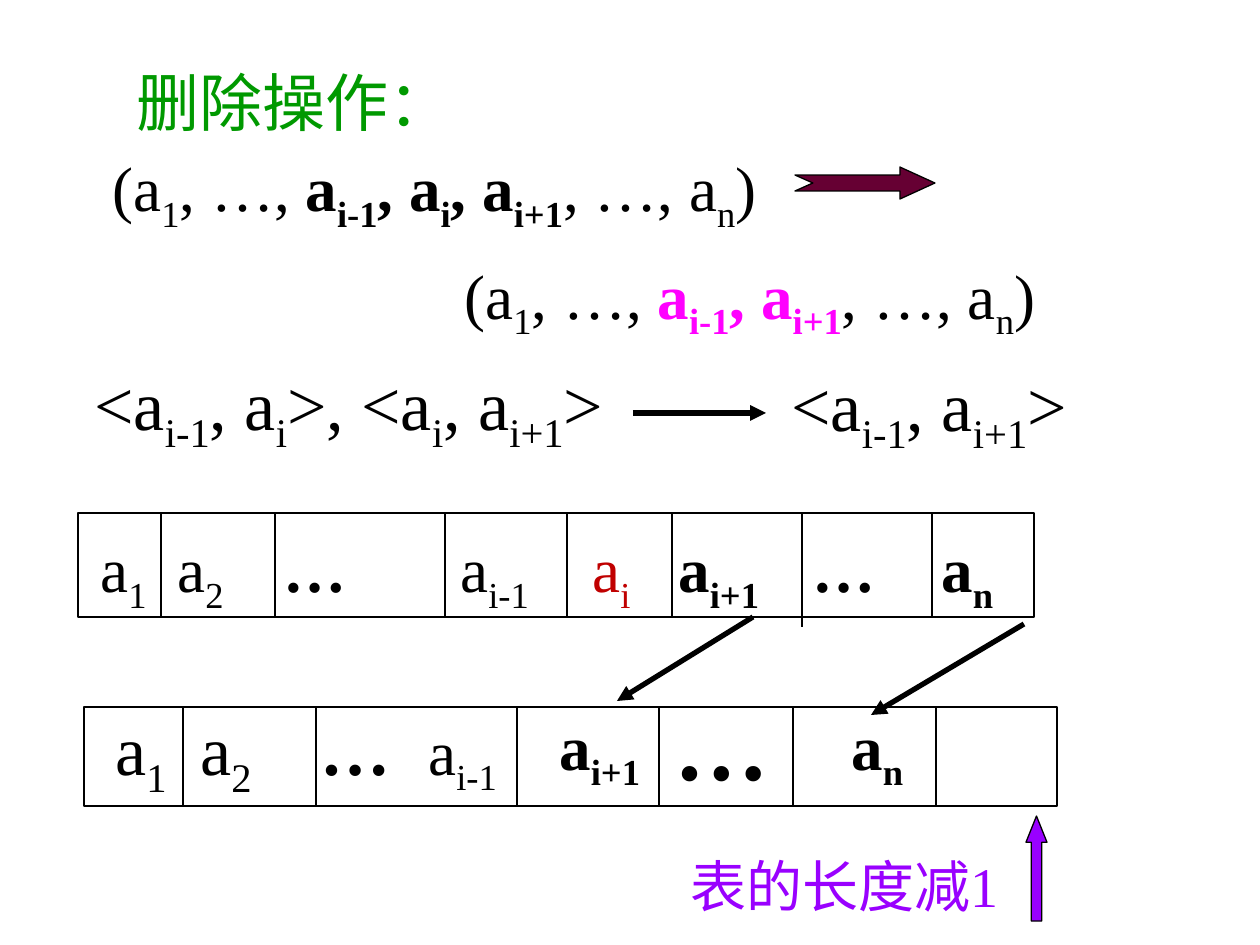
from dataclasses import dataclass
from typing import Optional

from lxml.etree import SubElement
from pptx import Presentation
from pptx.dml.color import RGBColor
from pptx.enum.shapes import MSO_CONNECTOR, MSO_SHAPE
from pptx.enum.text import MSO_ANCHOR, MSO_AUTO_SIZE, PP_ALIGN
from pptx.oxml.ns import qn
from pptx.util import Emu, Pt

PX = 914400 / 126
BLACK, GREEN, MAGENTA = "000000", "009900", "FF00FF"
RED, PURPLE, MAROON = "C00000", "9900FF", "660033"
SERIF = "Times New Roman"


@dataclass
class Span:
    """Text in one style; [brackets] hold subscripts."""
    text: str
    size: int = 36
    bold: bool = False
    color: str = BLACK


@dataclass
class Line:
    spans: list[Span]
    indent: int = 0
    tabs: tuple[int, ...] = ()
    spacing: Optional[float] = None


@dataclass
class Label:
    left: int
    top: int
    width: int
    height: int
    lines: list[Line]
    anchor: MSO_ANCHOR = MSO_ANCHOR.TOP


@dataclass
class Row:
    left: int
    top: int
    width: int
    height: int
    dividers: dict[int, int]  # x position: extra length below the row


def px(value: int) -> Emu:
    return Emu(round(value * PX))


def rgb(value: str) -> RGBColor:
    return RGBColor.from_string(value)


def format_text(span, size: int, bold: bool, color: str, name: str = SERIF) -> None:
    for key, value in {"size": Pt(size), "bold": bold, "name": name}.items():
        setattr(span.font, key, value)
    span.font.color.rgb = rgb(color)


def add_span(para, part: Span) -> None:
    for index, piece in enumerate(part.text.replace("]", "[").split("[")):
        if piece:
            span = para.add_run()
            span.text = piece
            format_text(span, part.size, part.bold, part.color)
            if index % 2:
                span.font._element.set("baseline", "-25000")


def add_label(page, label: Label) -> None:
    box = page.shapes.add_textbox(px(label.left), px(label.top), px(label.width), px(label.height))
    frame = box.text_frame
    frame.word_wrap = True
    frame.vertical_anchor = label.anchor
    for index, line in enumerate(label.lines):
        para = frame.add_paragraph() if index else frame.paragraphs[0]
        properties = para._p.get_or_add_pPr()
        properties.set("marL", str(px(line.indent)))
        if line.tabs:
            stops = SubElement(properties, qn("a:tabLst"))
            for stop in line.tabs:
                SubElement(stops, qn("a:tab"), pos=str(px(stop)), algn="l")
        if line.spacing:
            para.line_spacing = line.spacing
        for part in line.spans:
            add_span(para, part)


def style_shape(shape, fill: Optional[str]) -> None:
    shape.shadow.inherit = False
    if fill:
        shape.fill.solid()
        shape.fill.fore_color.rgb = rgb(fill)
    else:
        shape.fill.background()
    shape.line.color.rgb = rgb(BLACK)
    shape.line.width = Pt(0.75)


def add_line(page, start: tuple[int, int], end: tuple[int, int], arrow: bool = False) -> None:
    line = page.shapes.add_connector(MSO_CONNECTOR.STRAIGHT, *map(px, start + end))
    line.line.color.rgb = rgb(BLACK)
    line.line.width = Pt(3 if arrow else 0.75)
    if arrow:
        SubElement(line.line._get_or_add_ln(), qn("a:tailEnd"), type="triangle")
    SubElement(line._element.spPr, qn("a:effectLst"))


def add_row(page, row: Row) -> None:
    frame = page.shapes.add_shape(
        MSO_SHAPE.RECTANGLE, px(row.left), px(row.top), px(row.width), px(row.height))
    style_shape(frame, None)
    for x, extra in row.dividers.items():
        add_line(page, (x, row.top), (x, row.top + row.height + extra))


def add_title(page) -> None:
    title = page.shapes.title
    places = {"left": 73, "top": 42, "width": 441, "height": 103}
    for key, value in places.items():
        setattr(title, key, px(value))
    frame = title.text_frame
    frame.auto_size = MSO_AUTO_SIZE.NONE
    frame.vertical_anchor = MSO_ANCHOR.BOTTOM
    para = frame.paragraphs[0]
    para.alignment = PP_ALIGN.CENTER
    span = para.add_run()
    span.text = "删除操作："
    format_text(span, 36, False, GREEN, "Arial")


LABELS = [
    # List before and after the deletion
    Label(100, 121, 958, 228, [
        Line([Span("(a[1], …, "), Span("a[i-1], a[i], a[i+1]", bold=True),
              Span(", …, a[n])")], spacing=1.25),
        Line([Span("(a[1], …, "), Span("a[i-1], a[i+1]", bold=True, color=MAGENTA),
              Span(", …, a[n])")], indent=352, spacing=1.25)]),
    # Neighbour pairs
    Label(82, 354, 545, 108, [Line([Span("<a[i-1], a[i]>, <a[i], a[i+1]>", 40)])]),
    Label(779, 355, 310, 108, [Line([Span("<a[i-1], a[i+1]>", 40)])]),
    # Cells before
    Label(88, 491, 982, 131, [Line(
        [Span("a[1]\ta[2]\t"), Span("…\t", bold=True), Span("a[i-1]\t"),
         Span("a[i]\t", color=RED), Span("a[i+1]\t…\ta[n]", bold=True)],
        tabs=(77, 183, 360, 492, 578, 712, 841))], MSO_ANCHOR.BOTTOM),
    # Cells after
    Label(103, 699, 430, 108, [Line(
        [Span("a[1]\ta[2]\t", 40), Span("…\t", 40, True), Span("a[i-1]")],
        tabs=(85, 205, 313))]),
    Label(547, 701, 115, 100, [Line([Span("a[i+1]", bold=True)])]),
    Label(662, 680, 130, 126, [Line([Span("…", 54, True)])]),
    Label(839, 701, 90, 100, [Line([Span("a[n]", bold=True)])]),
    Label(678, 845, 360, 81, [Line([Span("表的长度减1", 32, color=PURPLE)])]),
]
ROWS = [
    Row(78, 513, 956, 104, {161: 0, 275: 0, 445: 0, 567: 0, 672: 0, 802: 10, 932: 0}),
    Row(84, 707, 973, 99, dict.fromkeys((183, 316, 517, 659, 793, 936), 0)),
]
ARROWS = [((633, 413), (766, 413)), ((753, 617), (617, 701)), ((1024, 624), (871, 715))]
NOTCHED_ARROW = [(795, 175), (900, 175), (900, 167), (935, 183), (900, 199),
                 (900, 191), (795, 191), (813, 183)]


def main() -> None:
    deck = Presentation()
    deck.slide_width, deck.slide_height = px(1260), px(945)
    page = deck.slides.add_slide(deck.slide_layouts[5])
    add_title(page)
    for row in ROWS:
        add_row(page, row)
    for label in LABELS:
        add_label(page, label)
    for start, end in ARROWS:
        add_line(page, start, end, arrow=True)

    # Block arrows
    builder = page.shapes.build_freeform(*NOTCHED_ARROW[0], scale=PX)
    builder.add_line_segments(NOTCHED_ARROW[1:], close=True)
    style_shape(builder.convert_to_shape(), MAROON)
    pointer = page.shapes.add_shape(MSO_SHAPE.UP_ARROW, px(1026), px(816), px(21), px(105))
    pointer.adjustments[0], pointer.adjustments[1] = 0.5, 1.25
    style_shape(pointer, PURPLE)

    deck.save("out.pptx")


if __name__ == "__main__":
    main()
